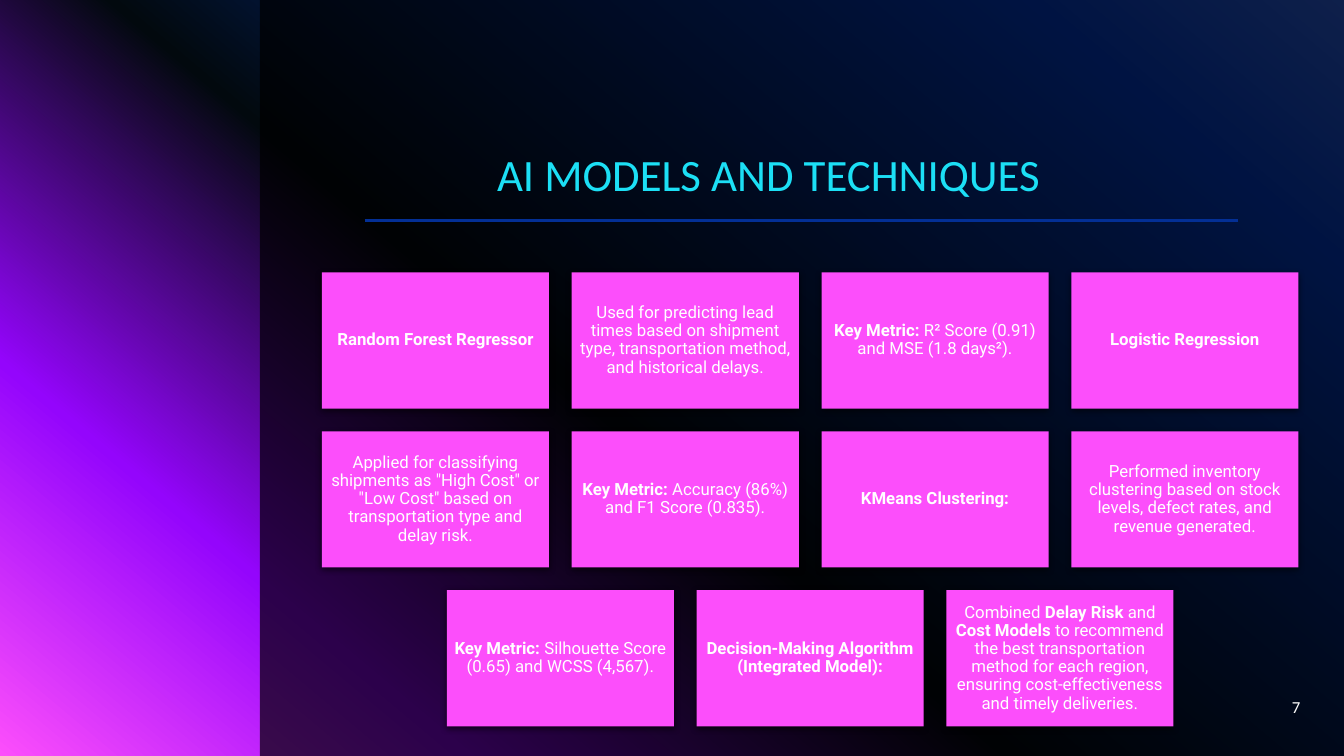
from lxml.etree import SubElement
from pptx import Presentation
from pptx.dml.color import RGBColor
from pptx.enum.shapes import MSO_CONNECTOR, MSO_SHAPE
from pptx.enum.text import MSO_ANCHOR, PP_ALIGN
from pptx.oxml.ns import qn
from pptx.util import Pt

COLORS = {
    "panel": "000000",
    "title": "1CDFF5",
    "rule": "032F95",
    "card": "FC4EFB",
    "text": "FFFFFF",
    "shadow": "000000",
}
BACKDROP = [(0, "316CFC"), (14, "0343DF"), (55, "02090E"), (79, "9405FC"), (100, "FC4EFB")]
BACKDROP_ANGLE = 130

CARD_WIDTH = 162.2
CARD_HEIGHT = CARD_WIDTH * 0.6
GAP = CARD_WIDTH * 0.1
GRID_LEFT, GRID_TOP, COLUMNS = 230, 194.5, 4

CARDS = [
    [("Random Forest Regressor", True)],
    [("Used for predicting lead times based on shipment type, "
      "transportation method, and historical delays.", False)],
    [("Key Metric:", True), (" R² Score (0.91) and MSE (1.8 days²).", False)],
    [("Logistic Regression", True)],
    [('Applied for classifying shipments as "High Cost" or "Low Cost" '
      "based on transportation type and delay risk.", False)],
    [("Key Metric:", True), (" Accuracy (86%) and F1 Score (0.835).", False)],
    [("KMeans Clustering:", True)],
    [("Performed inventory clustering based on stock levels, "
      "defect rates, and revenue generated.", False)],
    [("Key Metric:", True), (" Silhouette Score (0.65) and WCSS (4,567).", False)],
    [("Decision-Making Algorithm (Integrated Model):", True)],
    [("Combined ", False), ("Delay Risk", True), (" and ", False), ("Cost Models", True),
     (" to recommend the best transportation method for each region, "
      "ensuring cost-effectiveness and timely deliveries.", False)],
]


def apply(target, values):
    for name, value in values.items():
        setattr(target, name, value)


def add_color(parent, color, alpha=None):
    node = SubElement(parent, qn("a:srgbClr"), val=color)
    if alpha is not None:
        SubElement(node, qn("a:alpha"), val=str(alpha * 1000))


class SlideBuilder:
    def __init__(self, slide):
        self.slide = slide
        self.shapes = slide.shapes

    def backdrop(self, stops, angle):
        fill = self.slide.background.fill
        fill.gradient()
        fill.gradient_angle = 360 - angle
        stop_list = self.slide.element.find(".//" + qn("a:gsLst"))
        for old_stop in list(stop_list):
            stop_list.remove(old_stop)
        for position, color in stops:
            stop = SubElement(stop_list, qn("a:gs"), pos=str(position * 1000))
            add_color(stop, color)

    def rectangle(self, box, color):
        rectangle = self.shapes.add_shape(MSO_SHAPE.RECTANGLE, *map(Pt, box))
        rectangle.shadow.inherit = False
        rectangle.fill.solid()
        rectangle.fill.fore_color.rgb = RGBColor.from_string(COLORS[color])
        rectangle.line.fill.background()
        return rectangle

    def panel(self, box, opacity):
        panel = self.rectangle(box, "panel")
        color = panel.element.spPr.find(".//" + qn("a:srgbClr"))
        SubElement(color, qn("a:alpha"), val=str(opacity * 1000))

    def rule(self, left, right, y):
        rule = self.shapes.add_connector(MSO_CONNECTOR.STRAIGHT, *map(Pt, (left, y, right, y)))
        rule.line.color.rgb = RGBColor.from_string(COLORS["rule"])
        rule.line.width = Pt(2)
        SubElement(rule._element.spPr, qn("a:effectLst"))

    def fill_text(self, frame, runs, font, color, size, align, anchor, margins, spacing=1.0):
        apply(frame, {"word_wrap": True, "vertical_anchor": anchor})
        sides = ("margin_left", "margin_top", "margin_right", "margin_bottom")
        apply(frame, dict(zip(sides, map(Pt, margins))))
        paragraph = frame.paragraphs[0]
        apply(paragraph, {"alignment": align, "line_spacing": spacing})
        for words, bold in runs:
            run = paragraph.add_run()
            run.text = words
            apply(run.font, {"name": font, "size": Pt(size), "bold": bold})
            run.font.color.rgb = RGBColor.from_string(COLORS[color])

    def text(self, box, words, **style):
        frame = self.shapes.add_textbox(*map(Pt, box)).text_frame
        self.fill_text(frame, [(words, False)], "Calibri", **style)

    def card(self, box, runs):
        card = self.rectangle(box, "card")
        effects = card.element.spPr.find(qn("a:effectLst"))
        shadow = SubElement(effects, qn("a:outerShdw"), blurRad=str(Pt(4.5)),
                            dist=str(Pt(1.5)), dir="5400000", rotWithShape="0")
        add_color(shadow, COLORS["shadow"], 63)
        self.fill_text(card.text_frame, runs, "Roboto", color="text", size=12,
                       align=PP_ALIGN.CENTER, anchor=MSO_ANCHOR.MIDDLE,
                       margins=(3.6,) * 4, spacing=0.9)

    def card_grid(self, cards):
        step_x, step_y = CARD_WIDTH + GAP, CARD_HEIGHT + GAP
        for start in range(0, len(cards), COLUMNS):
            row = cards[start:start + COLUMNS]
            left = GRID_LEFT + (COLUMNS - len(row)) * step_x / 2
            top = GRID_TOP + start // COLUMNS * step_y
            for column, runs in enumerate(row):
                self.card((left + column * step_x, top, CARD_WIDTH, CARD_HEIGHT), runs)


def main():
    deck = Presentation()
    apply(deck, {"slide_width": Pt(960), "slide_height": Pt(540)})
    builder = SlideBuilder(deck.slides.add_slide(deck.slide_layouts[6]))
    builder.backdrop(BACKDROP, BACKDROP_ANGLE)
    builder.panel((185.7, 0, 774.3, 540), 70)
    builder.rule(260.4, 884.2, 157.4)
    builder.text((260.4, 8.6, 584.6, 139), "AI MODELS AND TECHNIQUES", color="title", size=32,
                 align=PP_ALIGN.CENTER, anchor=MSO_ANCHOR.BOTTOM,
                 margins=(0, 3.6, 7.2, 3.6), spacing=0.9)
    builder.text((720, 490.5, 216, 28.8), "7", color="text", size=12,
                 align=PP_ALIGN.RIGHT, anchor=MSO_ANCHOR.MIDDLE,
                 margins=(7.2, 3.6, 7.2, 3.6))
    builder.card_grid(CARDS)
    deck.save("out.pptx")


if __name__ == "__main__":
    main()
